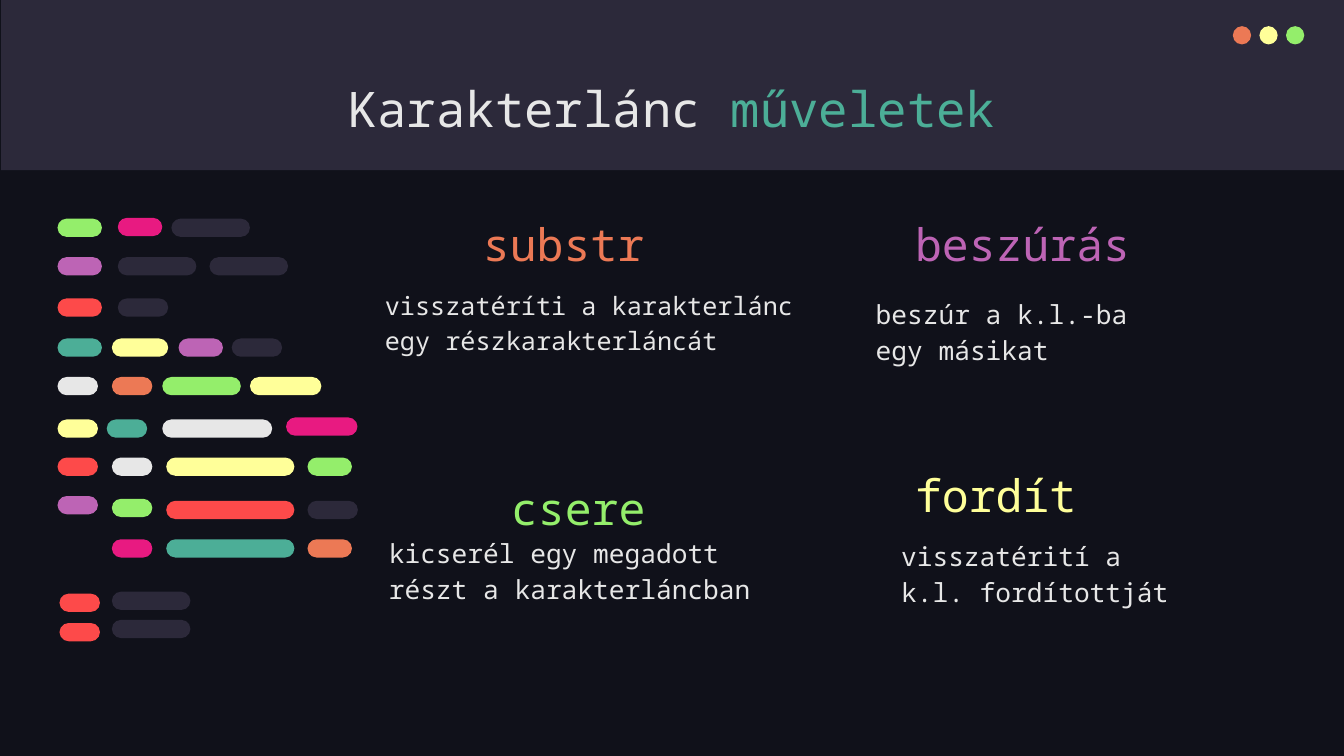
from pptx import Presentation
from pptx import util as u
from pptx.dml.color import RGBColor
from pptx.enum import shapes, text

NIGHT = RGBColor(0x10, 0x11, 0x1A)
SLATE = RGBColor(0x2C, 0x29, 0x3A)
WHITE = RGBColor(0xE7, 0xE7, 0xE7)
ORANGE = RGBColor(0xEC, 0x79, 0x55)
YELLOW = RGBColor(0xFF, 0xFF, 0x99)
GREEN = RGBColor(0x94, 0xEE, 0x6B)
TEAL = RGBColor(0x4C, 0xAE, 0x97)
PURPLE = RGBColor(0xBD, 0x64, 0xB5)
PINK = RGBColor(0xE8, 0x1A, 0x81)
RED = RGBColor(0xFD, 0x4A, 0x4A)

# Pill widths in cm
SMALL, SHORT, STUB, MEDIUM = 1.02, 1.12, 1.27, 1.42
WIDE, LONG, LONGER, LONGEST = 1.8, 1.98, 2.77, 3.23

# Each code line: (left, top, width, colour) per pill
CODE_LINES = [
    [(1.45, 5.51, SHORT, GREEN), (2.97, 5.49, SHORT, PINK), (4.32, 5.51, LONG, SLATE)],
    [(1.45, 6.48, SHORT, PURPLE), (2.97, 6.48, LONG, SLATE), (5.28, 6.48, LONG, SLATE)],
    [(1.45, 7.52, SHORT, RED), (2.97, 7.52, STUB, SLATE)],
    [(1.45, 8.53, SHORT, TEAL), (2.82, 8.53, MEDIUM, YELLOW),
     (4.5, 8.53, SHORT, PURPLE), (5.84, 8.53, STUB, SLATE)],
    [(1.45, 9.5, SMALL, WHITE), (2.82, 9.5, SMALL, ORANGE),
     (4.09, 9.5, LONG, GREEN), (6.3, 9.5, WIDE, YELLOW)],
    [(1.45, 10.57, SMALL, YELLOW), (2.69, 10.57, SMALL, TEAL),
     (4.09, 10.57, LONGER, WHITE), (7.21, 10.52, WIDE, PINK)],
    [(1.45, 11.53, SMALL, RED), (2.82, 11.53, SMALL, WHITE),
     (4.19, 11.53, LONGEST, YELLOW), (7.75, 11.53, SHORT, GREEN)],
    [(1.45, 12.5, SMALL, PURPLE), (2.82, 12.57, SMALL, GREEN),
     (4.19, 12.62, LONGEST, RED), (7.75, 12.62, STUB, SLATE)],
    [(2.82, 13.59, SMALL, PINK), (4.19, 13.59, LONGEST, TEAL), (7.75, 13.59, SHORT, ORANGE)],
    [(1.5, 14.96, SMALL, RED), (2.82, 14.91, LONG, SLATE)],
    [(1.5, 15.7, SMALL, RED), (2.82, 15.62, LONG, SLATE)],
]

# Heading, colour, heading position, description, description box, text size
OPERATIONS = [
    ("substr", ORANGE, (11.84, 5.26),
     "visszatéríti a karakterlánc egy részkarakterláncát", (9.37, 6.88, 11.35, 3.07), 18),
    ("beszúrás", PURPLE, (22.73, 5.26),
     "beszúr a k.l.-ba egy másikat", (21.74, 7.06, 8.23, 3.07), 18.7),
    ("csere", GREEN, (12.55, 11.91),
     "kicserél egy megadott részt a karakterláncban", (9.47, 13.08, 10.41, 3.07), 18.7),
    ("fordít", YELLOW, (22.73, 11.58),
     "visszatérití a k.l. fordítottját", (22.38, 13.16, 8.03, 3.07), 18.7),
]


class CodeSlide:
    font = "Noto Sans Mono"
    inset = u.Cm(0.33)

    def __init__(self, presentation):
        self.slide = presentation.slides.add_slide(presentation.slide_layouts[6])
        fill = self.slide.background.fill
        fill.solid()
        fill.fore_color.rgb = NIGHT

    def group(self):
        return self.slide.shapes.add_group_shape()

    def shape(self, kind, box, color, group=None):
        parent = group or self.slide
        shape = parent.shapes.add_shape(kind, *map(u.Cm, box))
        shape.shadow.inherit = False
        shape.fill.solid()
        shape.fill.fore_color.rgb = color
        shape.line.fill.background()
        return shape

    def pill(self, left, top, width, color, group):
        box = (left, top, width, 0.46)
        shape = self.shape(shapes.MSO_SHAPE.ROUNDED_RECTANGLE, box, color, group)
        shape.adjustments[0] = 0.5

    def text(self, box, parts, size, anchor=text.MSO_ANCHOR.TOP,
             align=text.PP_ALIGN.LEFT, spacing=1.15):
        """Add a one-paragraph text box; parts are (wording, colour) pairs."""
        frame = self.slide.shapes.add_textbox(*map(u.Cm, box)).text_frame
        frame.word_wrap = True
        frame.vertical_anchor = anchor
        frame.margin_left = frame.margin_right = self.inset
        frame.margin_top = frame.margin_bottom = self.inset
        paragraph = frame.paragraphs[0]
        paragraph.alignment = align
        paragraph.line_spacing = spacing
        for wording, color in parts:
            run = paragraph.add_run()
            run.text = wording
            run.font.name = self.font
            run.font.size = u.Pt(size)
            run.font.color.rgb = color


def main():
    presentation = Presentation()
    presentation.slide_width = u.Cm(33.87)
    presentation.slide_height = u.Cm(19.05)
    page = CodeSlide(presentation)

    page.shape(shapes.MSO_SHAPE.RECTANGLE, (0.03, 0, 33.87, 4.29), SLATE)
    window_dots = page.group()
    for index, color in enumerate((ORANGE, YELLOW, GREEN)):
        box = (31.07 + 0.67 * index, 0.66, 0.46, 0.46)
        page.shape(shapes.MSO_SHAPE.OVAL, box, color, window_dots)

    page.text((2.67, 1.65, 28.52, 2.13), [("Karakterlánc ", WHITE), ("műveletek", TEAL)],
              35, align=text.PP_ALIGN.CENTER, spacing=1.0)

    for heading, color, position, description, box, size in OPERATIONS:
        page.text(box, [(description, WHITE)], size)
        page.text((*position, 7.32, 1.88), [(heading, color)], 32, text.MSO_ANCHOR.BOTTOM)

    code = page.group()
    for line in CODE_LINES:
        for pill in line:
            page.pill(*pill, code)

    presentation.save("out.pptx")


if __name__ == "__main__":
    main()
